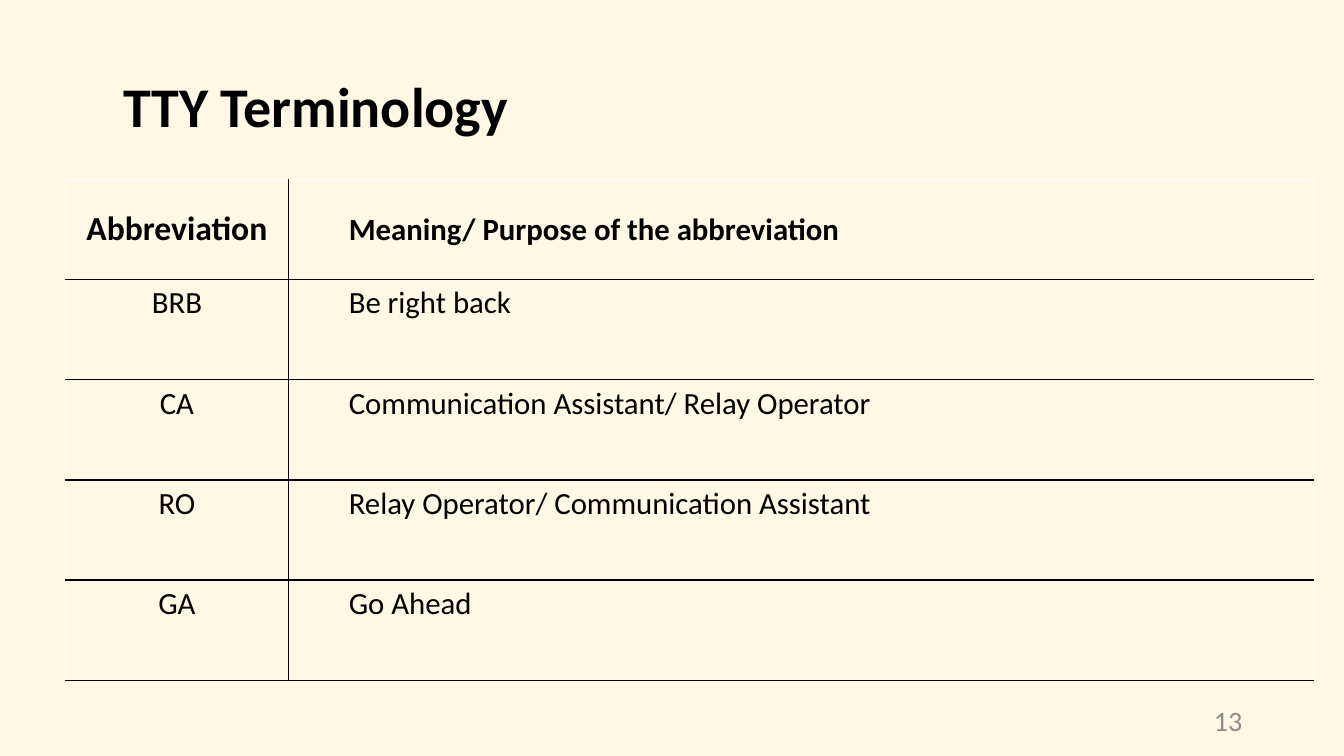
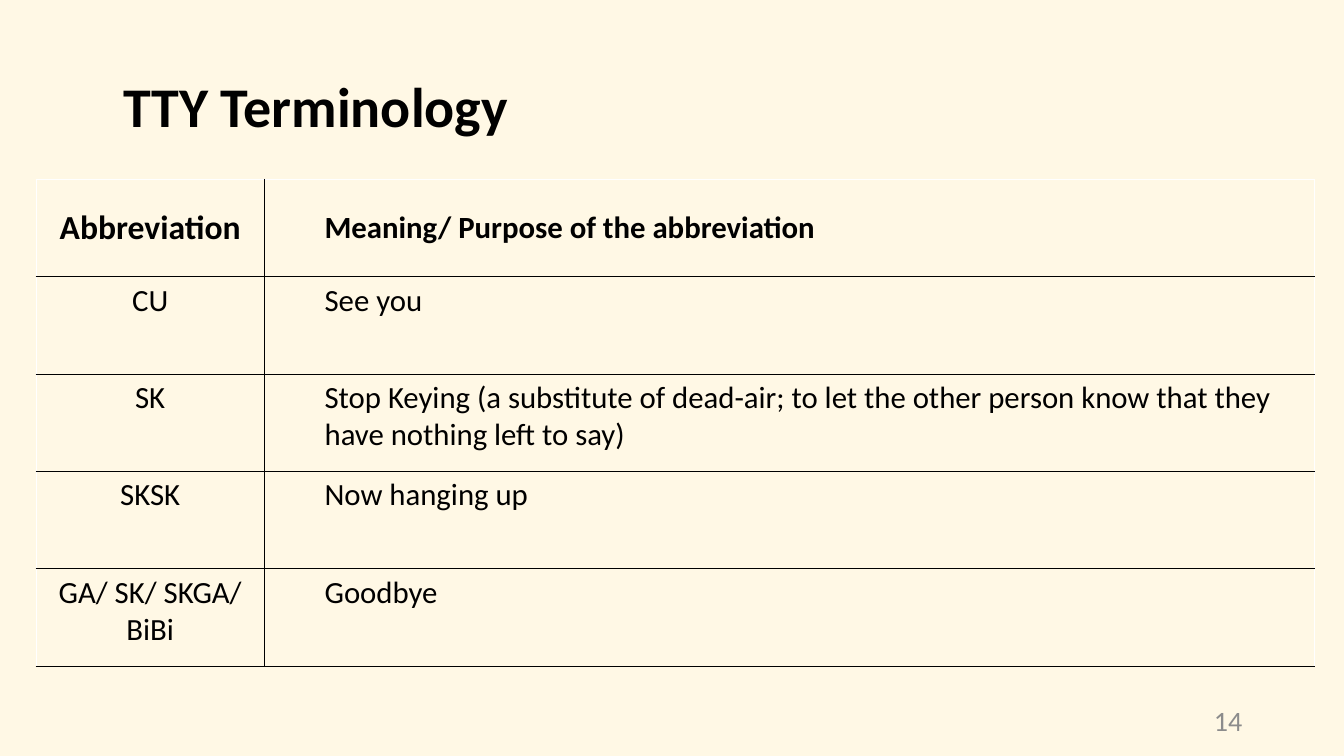
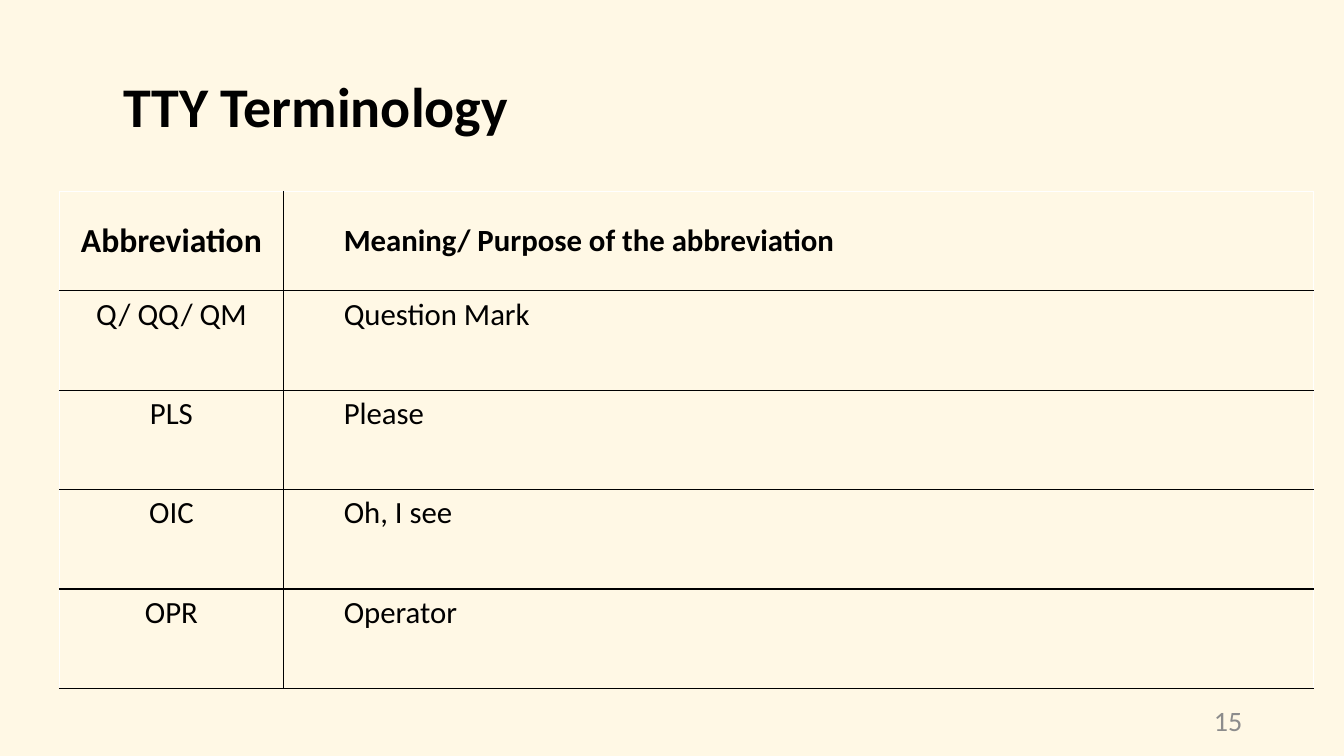
"""Build three slides of TTY abbreviations, each with a title, a table and a page number."""
from lxml.etree import SubElement
from pptx import Presentation
from pptx.dml.color import RGBColor
from pptx.enum.text import MSO_ANCHOR as Anchor, PP_ALIGN as Align
from pptx.oxml.ns import qn
from pptx.util import Inches, Pt

CREAM = RGBColor(0xFF, 0xF8, 0xE5)
BLACK = RGBColor(0x00, 0x00, 0x00)
WHITE = RGBColor(0xFF, 0xFF, 0xFF)
GREY = RGBColor(0x8C, 0x8C, 0x8C)
FONT = "Calibri"
HEAD = ("Abbreviation", "Meaning/ Purpose of the abbreviation")

PAGES = [
    (0.65, 1.78, 12.38, 4.97, 2.21, [
        ("BRB", "Be right back"),
        ("CA", "Communication Assistant/ Relay Operator"),
        ("RO", "Relay Operator/ Communication Assistant"),
        ("GA", "Go Ahead"),
    ]),
    (0.36, 1.78, 12.68, 4.83, 2.26, [
        ("CU", "See you"),
        ("SK", "Stop Keying (a substitute of dead-air; to let the other "
               "person know that they have nothing left to say)"),
        ("SKSK", "Now hanging up"),
        ("GA/ SK/ SKGA/ BiBi", "Goodbye"),
    ]),
    (0.59, 1.9, 12.44, 4.93, 2.22, [
        ("Q/ QQ/ QM", "Question Mark"),
        ("PLS", "Please"),
        ("OIC", "Oh, I see"),
        ("OPR", "Operator"),
    ]),
]


def write(frame, text, size, color, bold, align):
    frame.text = text
    para = frame.paragraphs[0]
    para.alignment = align
    font = para.runs[0].font
    font.name, font.size, font.bold = FONT, Pt(size), bold
    font.color.rgb = color
    return para


def edge(cell, side, color):
    line = SubElement(cell._tc.get_or_add_tcPr(), qn(f"a:ln{side}"), w=str(Pt(1)))
    fill = SubElement(line, qn("a:solidFill"))
    SubElement(fill, qn("a:srgbClr"), val=str(color))


prs = Presentation()
prs.slide_width, prs.slide_height = Inches(13.33), Inches(7.5)
back = prs.slide_master.background.fill
back.solid()
back.fore_color.rgb = CREAM

for num, (left, top, width, height, first, terms) in enumerate(PAGES, 13):
    slide = prs.slides.add_slide(prs.slide_layouts[5])

    title = slide.shapes.title
    title.left, title.top = Inches(1.12), Inches(0.38)
    title.width, title.height = Inches(11.08), Inches(1.41)
    title.text_frame.vertical_anchor = Anchor.MIDDLE
    para = write(title.text_frame, "TTY Terminology", 40, BLACK, True, Align.LEFT)
    para.line_spacing = 0.9

    rows = [HEAD, *terms]
    table = slide.shapes.add_table(
        len(rows), 2, Inches(left), Inches(top), Inches(width), Inches(height)).table
    table.first_row = table.horz_banding = False
    table.columns[0].width = Inches(first)
    table.columns[1].width = Inches(width - first)

    for r, row in enumerate(rows):
        for c, text in enumerate(row):
            cell = table.cell(r, c)
            size = 24 if r == c == 0 else 22
            align = Align.LEFT if c else Align.CENTER
            para = write(cell.text_frame, text, size, BLACK, r == 0, align)
            if c:
                para.level = 1
                para._p.get_or_add_pPr().set("marL", str(Inches(0.5)))
                para._p.get_or_add_pPr().set("indent", "0")
            cell.vertical_anchor = Anchor.TOP if r else Anchor.MIDDLE
            edge(cell, "L", BLACK if c else WHITE)
            edge(cell, "R", WHITE if c else BLACK)
            edge(cell, "T", BLACK if r else WHITE)
            edge(cell, "B", BLACK)
            cell.fill.background()

    page = slide.shapes.add_textbox(Inches(9.42), Inches(6.95), Inches(3), Inches(0.4))
    page.text_frame.word_wrap = True
    page.text_frame.vertical_anchor = Anchor.MIDDLE
    write(page.text_frame, str(num), 20, GREY, False, Align.RIGHT)

prs.save("out.pptx")
